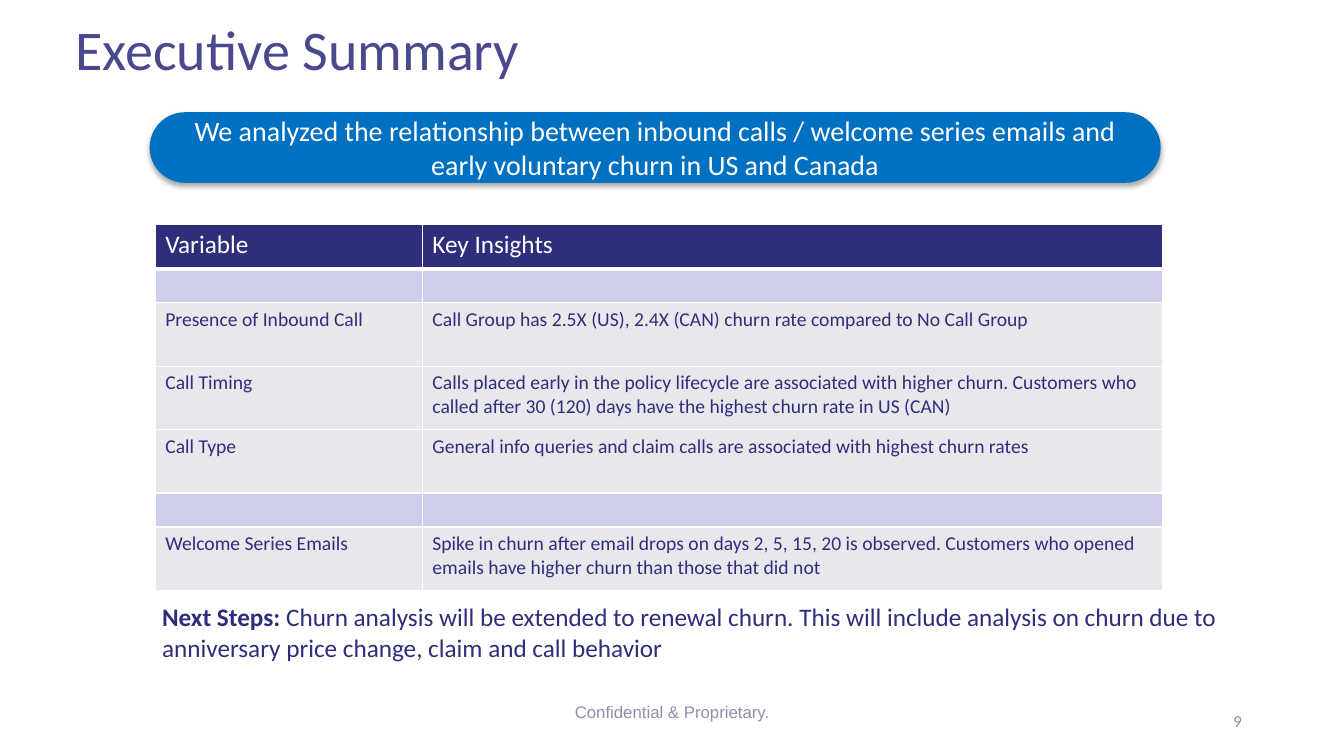
"""Build the executive summary slide on early churn."""
from dataclasses import dataclass

from lxml.etree import SubElement
from pptx import Presentation
from pptx.dml.color import RGBColor
from pptx.enum.shapes import MSO_SHAPE
from pptx.enum.text import MSO_ANCHOR, PP_ALIGN
from pptx.oxml import parse_xml
from pptx.oxml.ns import qn
from pptx.util import Pt

COLORS = {
    "white": "FFFFFF",
    "navy": "2E2E7B",
    "title": "4A498E",
    "muted": "8F8FA9",
    "blue": "0070C0",
    "band": "CDCDEC",
    "pale": "E8E8EC",
}
SHADOW = (
    '<a:effectLst xmlns:a="http://schemas.openxmlformats.org/drawingml/2006/main">'
    '<a:outerShdw blurRad="44450" dist="27940" dir="5400000" rotWithShape="0">'
    '<a:srgbClr val="000000"><a:alpha val="32000"/></a:srgbClr>'
    "</a:outerShdw></a:effectLst>"
)


@dataclass
class Label:
    """Text box with its place and style."""
    text: str
    left: float
    top: float
    width: float
    height: float
    size: float
    color: str
    font: str = "Calibri"
    align: PP_ALIGN = PP_ALIGN.LEFT
    anchor: MSO_ANCHOR = MSO_ANCHOR.MIDDLE
    space: float = 1.0
    lead: str = ""


@dataclass
class Row:
    """Table row with its height and style."""
    height: float
    texts: tuple[str, str] = ("", "")
    fill: str = "pale"
    color: str = "navy"
    size: float = 14
    rule: float = 1


LABELS = [
    Label("Confidential & Proprietary.", 318.2, 493.9, 324, 28.8, 12, "muted",
          font="Arial", align=PP_ALIGN.CENTER),
    Label("Executive Summary", 46.8, 10.8, 866.9, 52.6, 40, "title", space=0.9),
    Label("9", 829.4, 500.4, 64.8, 28.8, 12, "muted", align=PP_ALIGN.RIGHT),
    Label("Churn analysis will be extended to renewal churn. This will include "
          "analysis on churn due to anniversary price change, claim and call behavior",
          108.7, 426.2, 817.2, 51.1, 18, "navy", anchor=MSO_ANCHOR.TOP,
          lead="Next Steps: "),
]
TALL = 45.3
GAP = Row(24.3, fill="band")
ROWS = [
    Row(32, ("Variable", "Key Insights"), "navy", "white", 18, 3),
    GAP,
    Row(TALL, ("Presence of Inbound Call",
               "Call Group has 2.5X (US), 2.4X (CAN) churn rate compared to No Call Group")),
    Row(TALL, ("Call Timing",
               "Calls placed early in the policy lifecycle are associated with higher "
               "churn. Customers who called after 30 (120) days have the highest churn "
               "rate in US (CAN)")),
    Row(TALL, ("Call Type",
               "General info queries and claim calls are associated with highest churn rates")),
    GAP,
    Row(TALL, ("Welcome Series Emails",
               "Spike in churn after email drops on days 2, 5, 15, 20 is observed. "
               "Customers who opened emails have higher churn than those that did not")),
]
WIDTHS = (190.8, 528.5)
PILL = (
    "We analyzed the relationship between inbound calls / welcome series emails and",
    "early voluntary churn in US and Canada",
)


def tint(name: str) -> RGBColor:
    """Return a named colour."""
    return RGBColor.from_string(COLORS[name])


def style(frame, size: float, color: str, font: str = "Calibri") -> None:
    """Format every run of a text frame."""
    for para in frame.paragraphs:
        for run in para.runs:
            run.font.size = Pt(size)
            run.font.name = font
            run.font.color.rgb = tint(color)


def add_label(slide, label: Label) -> None:
    """Draw one text box."""
    box = slide.shapes.add_textbox(
        Pt(label.left), Pt(label.top), Pt(label.width), Pt(label.height))
    frame = box.text_frame
    frame.word_wrap = True
    frame.vertical_anchor = label.anchor
    para = frame.paragraphs[0]
    para.alignment = label.align
    para.line_spacing = label.space
    if label.lead:
        lead = para.add_run()
        lead.text = label.lead
        lead.font.bold = True
    para.add_run().text = label.text
    style(frame, label.size, label.color, label.font)


def add_rules(cell, base: float) -> None:
    """Give a cell its white borders."""
    props = cell._tc.get_or_add_tcPr()
    for side, width in (("L", 1), ("R", 1), ("T", 1), ("B", base)):
        line = SubElement(props, qn(f"a:ln{side}"), w=str(Pt(width)))
        fill = SubElement(line, qn("a:solidFill"))
        SubElement(fill, qn("a:srgbClr"), val=COLORS["white"])


def add_grid(slide) -> None:
    """Draw the table of insights."""
    total = sum(row.height for row in ROWS)
    grid = slide.shapes.add_table(
        len(ROWS), len(WIDTHS), Pt(110.9), Pt(160), Pt(sum(WIDTHS)), Pt(total)).table
    for col, width in zip(grid.columns, WIDTHS):
        col.width = Pt(width)
    for line, row in zip(grid.rows, ROWS):
        line.height = Pt(row.height)
        for cell, text in zip(line.cells, row.texts):
            add_rules(cell, row.rule)
            cell.fill.solid()
            cell.fill.fore_color.rgb = tint(row.fill)
            if text:
                cell.text_frame.text = text
                style(cell.text_frame, row.size, row.color)
            else:
                cell.margin_top = cell.margin_bottom = Pt(0)


def add_pill(slide) -> None:
    """Draw the rounded banner."""
    pill = slide.shapes.add_shape(
        MSO_SHAPE.ROUNDED_RECTANGLE, Pt(106.9), Pt(80.2), Pt(722.2), Pt(50.4))
    pill.adjustments[0] = 0.5
    pill.fill.solid()
    pill.fill.fore_color.rgb = tint("blue")
    pill.line.fill.background()
    pill._element.spPr.append(parse_xml(SHADOW))
    frame = pill.text_frame
    frame.word_wrap = True
    frame.vertical_anchor = MSO_ANCHOR.MIDDLE
    frame.text = "\n".join(PILL)
    for para in frame.paragraphs:
        para.alignment = PP_ALIGN.CENTER
    style(frame, 20, "white")


def main() -> None:
    """Build and save the slide."""
    deck = Presentation()
    deck.slide_width, deck.slide_height = Pt(960), Pt(540)
    slide = deck.slides.add_slide(deck.slide_layouts[6])
    add_grid(slide)
    add_pill(slide)
    for label in LABELS:
        add_label(slide, label)
    deck.save("out.pptx")


if __name__ == "__main__":
    main()
